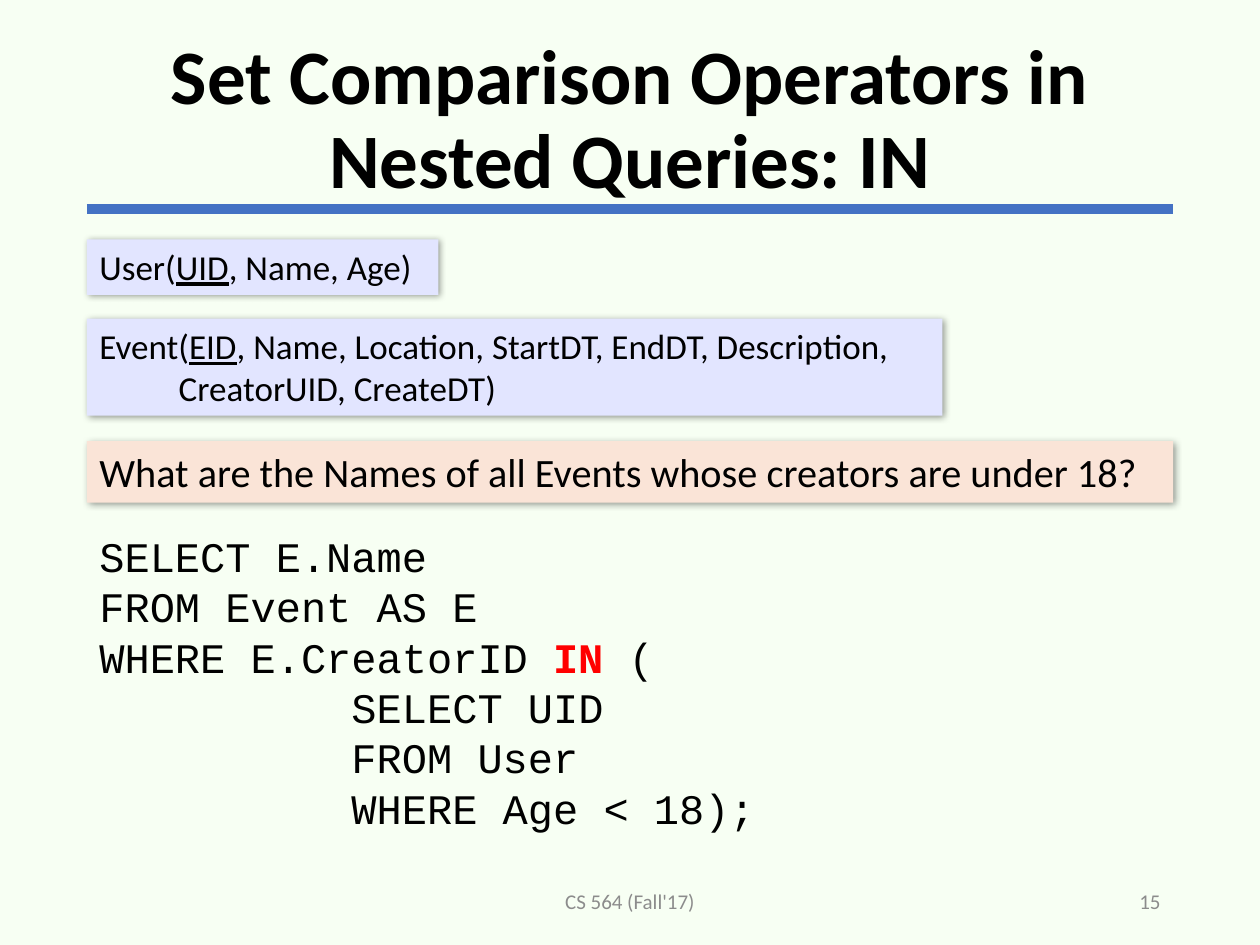
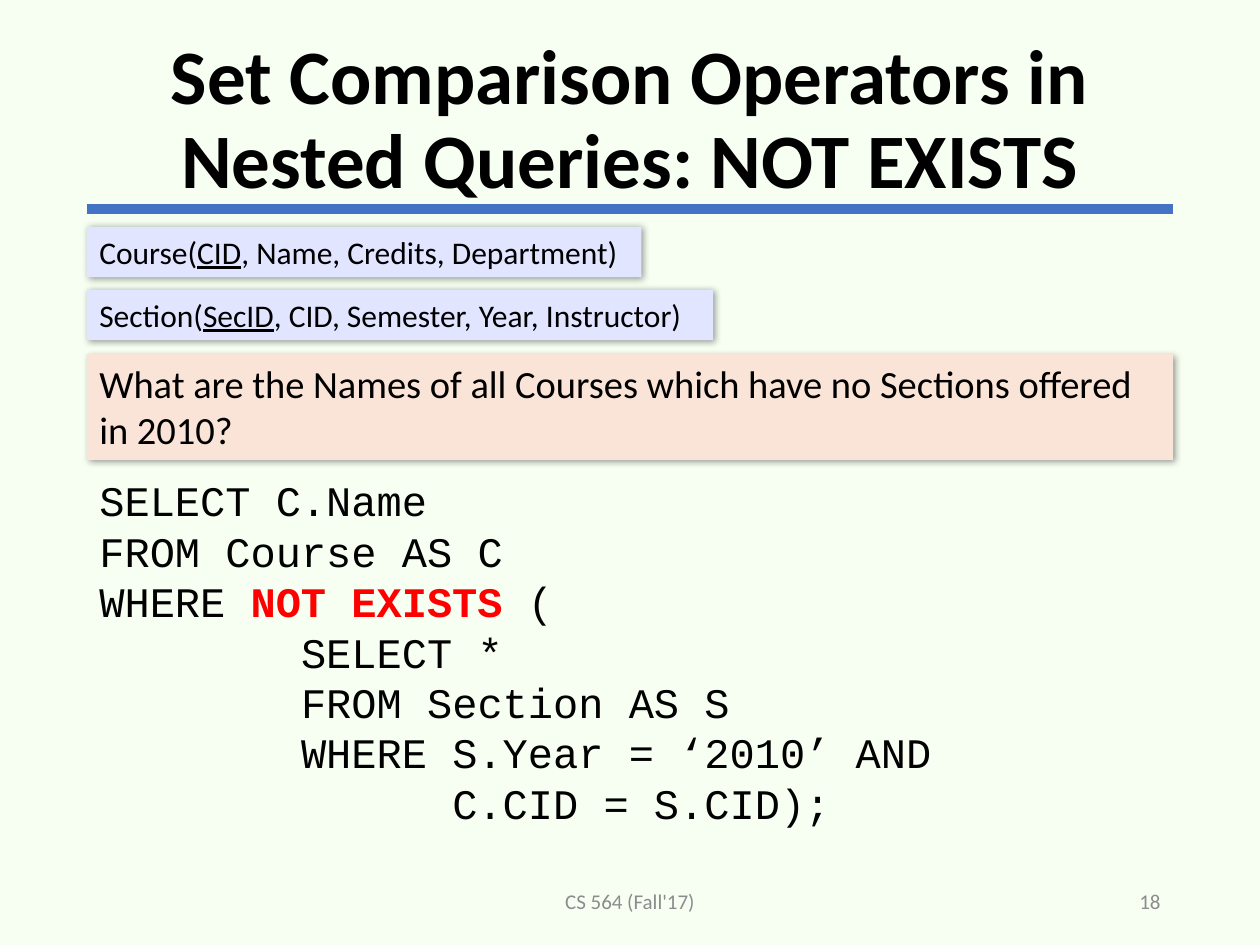
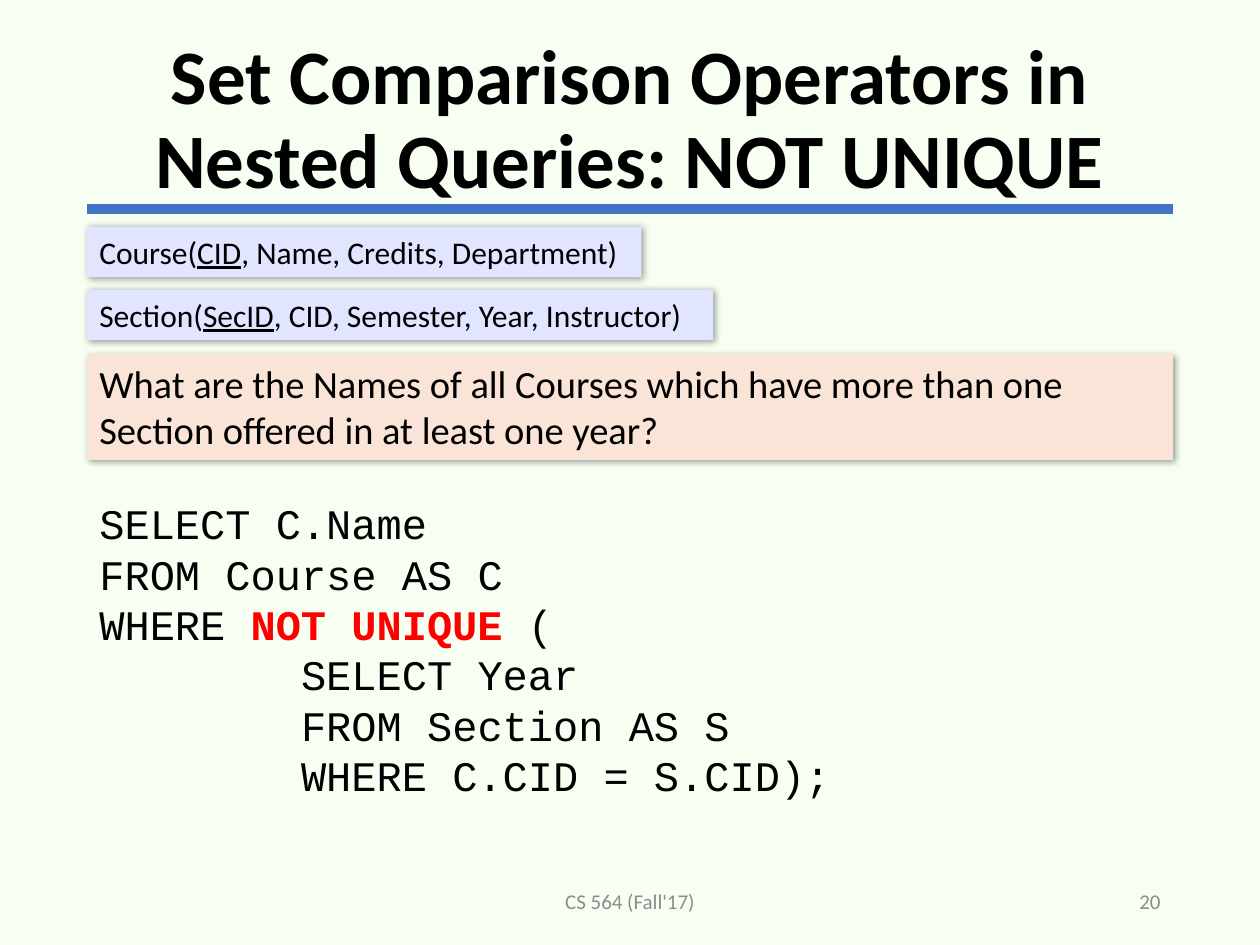
import dataclasses

import lxml.etree
import pptx
import pptx.dml.color
import pptx.enum.shapes
import pptx.enum.text
import pptx.oxml.ns
import pptx.util

Inches = pptx.util.Inches
Align = pptx.enum.text.PP_ALIGN
Anchor = pptx.enum.text.MSO_ANCHOR
AutoSize = pptx.enum.text.MSO_AUTO_SIZE

BACKGROUND = "F7FFF3"
RULE = "4472C4"
SCHEMA_FILL = "E2E5FF"
QUESTION_FILL = "FAE4D7"
BLACK = "000000"
KEYWORD = "FF0000"
GRAY = "8C8C8C"
BODY_FONT = "Calibri"
CODE_FONT = "Courier New"
LEFT = 0.69
WIDTH = 8.62
TITLE_START = "Set Comparison Operators in Nested Queries: "


@dataclasses.dataclass(frozen=True)
class Schema:
    relation: str
    key: str
    columns: str
    top: float
    width: float
    height: float
    size: int
    continuation: str = ""


@dataclasses.dataclass(frozen=True)
class Question:
    text: str
    top: float
    height: float
    size: int


@dataclasses.dataclass(frozen=True)
class Query:
    code: str
    top: float
    width: float
    height: float


@dataclasses.dataclass(frozen=True)
class Page:
    number: int
    operator: str
    schemas: tuple[Schema, ...]
    question: Question
    query: Query


COURSE_SCHEMAS = (
    Schema("Course", "CID", ", Name, Credits, Department)", 1.8, 4.4, 0.4, 18),
    Schema("Section", "SecID", ", CID, Semester, Year, Instructor)", 2.3, 4.97, 0.4, 18),
)

PAGES = (
    Page(
        15,
        "IN",
        (
            Schema("User", "UID", ", Name, Age)", 1.9, 2.79, 0.44, 20),
            Schema("Event", "EID", ", Name, Location, StartDT, EndDT, Description,",
                   2.53, 6.79, 0.77, 20, "CreatorUID, CreateDT)"),
        ),
        Question("What are the Names of all Events whose creators are under 18?", 3.5, 0.49, 23),
        Query("""SELECT E.Name
FROM Event AS E
WHERE E.CreatorID IN (
          SELECT UID
          FROM User
          WHERE Age < 18);""", 4.16, 8.19, 2.52),
    ),
    Page(
        18,
        "NOT EXISTS",
        COURSE_SCHEMAS,
        Question("What are the Names of all Courses which have no Sections offered in 2010?",
                 2.81, 0.84, 22),
        Query("""SELECT C.Name
FROM Course AS C
WHERE NOT EXISTS (
        SELECT *
        FROM Section AS S
        WHERE S.Year = ‘2010’ AND
              C.CID = S.CID);""", 3.72, WIDTH, 2.93),
    ),
    Page(
        20,
        "NOT UNIQUE",
        COURSE_SCHEMAS,
        Question("What are the Names of all Courses which have more than one Section "
                 "offered in at least one year?", 2.81, 0.84, 22),
        Query("""SELECT C.Name
FROM Course AS C
WHERE NOT UNIQUE (
        SELECT Year
        FROM Section AS S
        WHERE C.CID = S.CID);""", 3.9, WIDTH, 2.52),
    ),
)


def rgb(value: str) -> pptx.dml.color.RGBColor:
    return pptx.dml.color.RGBColor.from_string(value)


def add_text(para, text: str, *, size: float, font: str = BODY_FONT, color: str = BLACK,
             bold: bool = False, underline: bool = False) -> None:
    span = para.add_run()
    span.text = text
    span.font.name = font
    span.font.size = pptx.util.Pt(size)
    span.font.bold = bold
    span.font.underline = underline
    span.font.color.rgb = rgb(color)


def prepare_frame(shape, anchor=Anchor.TOP, align=Align.LEFT, auto_size=AutoSize.NONE):
    frame = shape.text_frame
    frame.word_wrap = True
    frame.auto_size = auto_size
    frame.vertical_anchor = anchor
    para = frame.paragraphs[0]
    para.alignment = align
    return para


def set_effects(shape, shadowed: bool) -> None:
    qn = pptx.oxml.ns.qn
    properties = shape._element.spPr
    for old in properties.findall(qn("a:effectLst")):
        properties.remove(old)
    effects = lxml.etree.SubElement(properties, qn("a:effectLst"))
    if shadowed:
        shadow = lxml.etree.SubElement(
            effects, qn("a:outerShdw"), blurRad=str(pptx.util.Pt(4)),
            dist=str(pptx.util.Pt(1)), dir=str(45 * 60000), rotWithShape="0")
        color = lxml.etree.SubElement(shadow, qn("a:srgbClr"), val=BLACK)
        lxml.etree.SubElement(color, qn("a:alpha"), val="40000")


def add_panel(slide, top: float, width: float, height: float, fill: str):
    panel = slide.shapes.add_shape(
        pptx.enum.shapes.MSO_SHAPE.RECTANGLE,
        Inches(LEFT), Inches(top), Inches(width), Inches(height))
    panel.fill.solid()
    panel.fill.fore_color.rgb = rgb(fill)
    panel.line.fill.background()
    set_effects(panel, shadowed=True)
    return prepare_frame(panel, auto_size=AutoSize.SHAPE_TO_FIT_TEXT), panel


def add_schema(slide, schema: Schema) -> None:
    para, panel = add_panel(slide, schema.top, schema.width, schema.height, SCHEMA_FILL)
    add_text(para, schema.relation + "(", size=schema.size)
    add_text(para, schema.key, size=schema.size, underline=True)
    add_text(para, schema.columns, size=schema.size)
    if schema.continuation:
        para = panel.text_frame.add_paragraph()
        para.alignment = Align.LEFT
        para._p.get_or_add_pPr().set("marL", str(Inches(0.63)))
        add_text(para, schema.continuation, size=schema.size)


def add_question(slide, question: Question) -> None:
    para, _ = add_panel(slide, question.top, WIDTH, question.height, QUESTION_FILL)
    add_text(para, question.text, size=question.size)


def add_query(slide, query: Query, operator: str) -> None:
    box = slide.shapes.add_textbox(
        Inches(LEFT), Inches(query.top), Inches(query.width), Inches(query.height))
    para = prepare_frame(box, auto_size=AutoSize.SHAPE_TO_FIT_TEXT)
    for index, line in enumerate(query.code.split("\n")):
        if index:
            para = box.text_frame.add_paragraph()
        before, keyword, after = line.partition(f" {operator} (")
        if keyword:
            add_text(para, before + " ", size=24, font=CODE_FONT)
            add_text(para, operator, size=24, font=CODE_FONT, color=KEYWORD, bold=True)
            add_text(para, " (" + after, size=24, font=CODE_FONT)
        else:
            add_text(para, line, size=24, font=CODE_FONT)


def add_title(slide, text: str) -> None:
    rule = slide.shapes.add_connector(
        pptx.enum.shapes.MSO_CONNECTOR.STRAIGHT,
        Inches(LEFT), Inches(1.66), Inches(LEFT + WIDTH), Inches(1.66))
    rule.line.color.rgb = rgb(RULE)
    rule.line.width = pptx.util.Pt(6)
    set_effects(rule, shadowed=False)
    title = slide.shapes.title
    title.left, title.top = Inches(LEFT), Inches(0.24)
    title.width, title.height = Inches(WIDTH), Inches(1.45)
    para = prepare_frame(title, Anchor.MIDDLE, Align.CENTER)
    para.line_spacing = 0.9
    add_text(para, text, size=44, bold=True)


def add_footer(slide, text: str, left: float, width: float, align) -> None:
    box = slide.shapes.add_textbox(Inches(left), Inches(6.95), Inches(width), Inches(0.4))
    add_text(prepare_frame(box, Anchor.MIDDLE, align), text, size=12, color=GRAY)


def add_page(deck, page: Page) -> None:
    slide = deck.slides.add_slide(deck.slide_layouts.get_by_name("Title Only"))
    add_title(slide, TITLE_START + page.operator)
    add_footer(slide, "CS 564 (Fall'17)", 3.31, 3.38, Align.CENTER)
    add_footer(slide, str(page.number), 7.06, 2.25, Align.RIGHT)
    for schema in page.schemas:
        add_schema(slide, schema)
    add_question(slide, page.question)
    add_query(slide, page.query, page.operator)


def main() -> None:
    deck = pptx.Presentation()
    deck.slide_width, deck.slide_height = Inches(10), Inches(7.5)
    backdrop = deck.slide_master.background.fill
    backdrop.solid()
    backdrop.fore_color.rgb = rgb(BACKGROUND)
    for page in PAGES:
        add_page(deck, page)
    deck.save("out.pptx")


if __name__ == "__main__":
    main()
